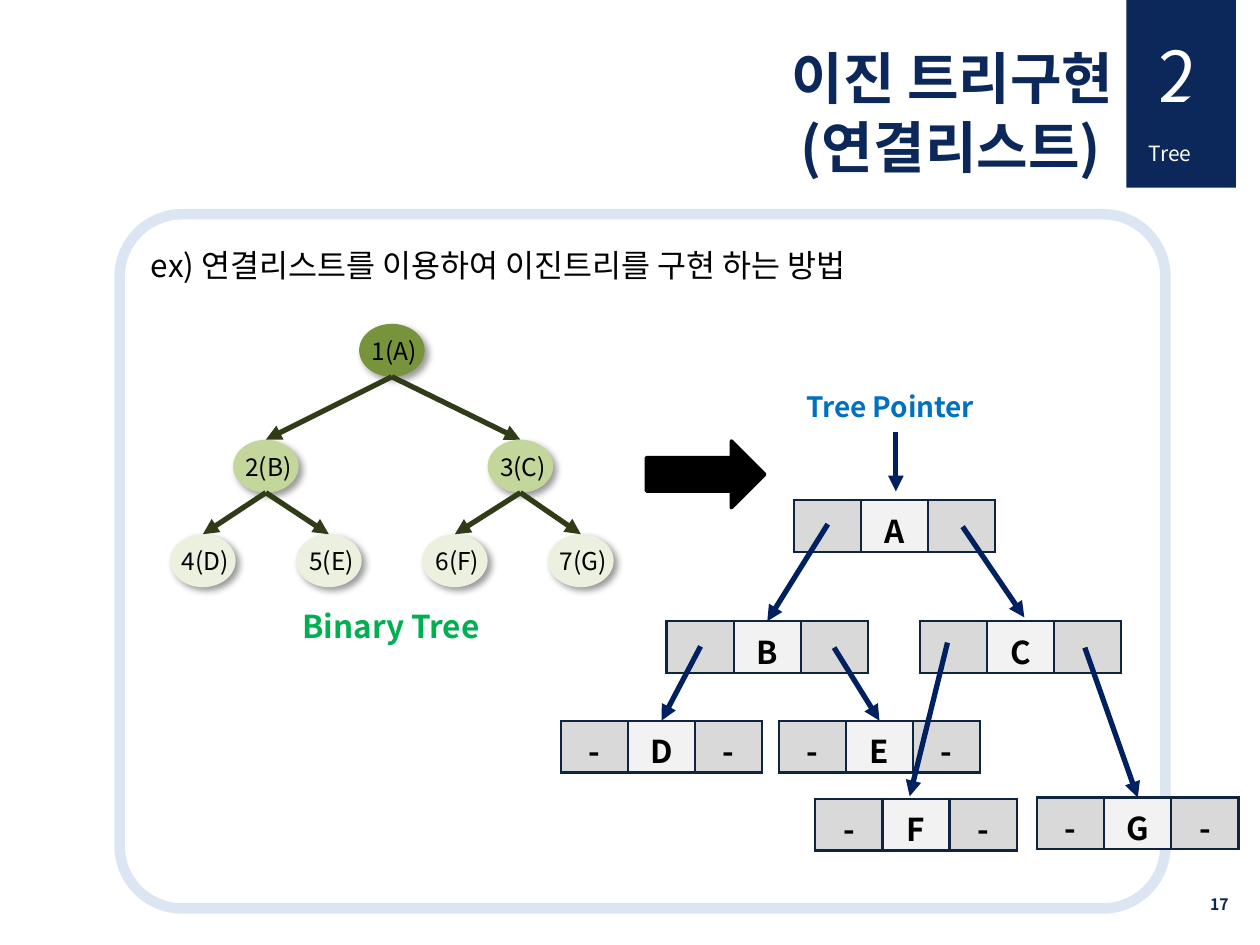
from lxml.etree import SubElement
from pptx import Presentation
from pptx.dml.color import RGBColor
from pptx.enum.shapes import MSO_CONNECTOR, MSO_SHAPE
from pptx.enum.text import MSO_ANCHOR, PP_ALIGN
from pptx.oxml import parse_xml
from pptx.oxml.ns import nsdecls, qn
from pptx.util import Emu, Pt

EMU_PER_PX = 9144
FONT = "Noto Sans CJK KR"
NAVY = "0C2759"
WHITE = "FFFFFF"
BLACK = "000000"
TREE_LINE = "303C18"
POINTER_LINE = "002060"
CELL_BORDER = "0F243E"
CELL_WIDTH = 160
NODE_WIDTH, NODE_HEIGHT = 52, 42

TREE_NODES = {
    "1(A)": (285, 257, "77933C"),
    "2(B)": (185, 349, "C3D69B"),
    "3(C)": (387, 349, "C3D69B"),
    "4(D)": (135, 424, "EBF1DE"),
    "5(E)": (235, 424, "EBF1DE"),
    "6(F)": (335, 424, "EBF1DE"),
    "7(G)": (435, 424, "EBF1DE"),
}
TREE_EDGES = [
    ("1(A)", "2(B)"), ("1(A)", "3(C)"),
    ("2(B)", "4(D)"), ("2(B)", "5(E)"),
    ("3(C)", "6(F)"), ("3(C)", "7(G)"),
]
LIST_NODES = [
    ("A", 630, 397, ""), ("B", 529, 493, ""), ("C", 730, 493, ""),
    ("G", 823, 633, "-"), ("F", 647, 634, "-"),
    ("D", 445, 572, "-"), ("E", 618, 572, "-"),
]
POINTERS = [
    (657, 416, 609, 493), (764, 418, 813, 490),
    (556, 513, 525, 572), (752, 510, 722, 632),
    (861, 514, 903, 633), (662, 514, 698, 572),
    (711, 343, 711, 390),
]


def px(value):
    return Emu(value * EMU_PER_PX)


def color(value):
    return RGBColor.from_string(value)


def box(left, top, width, height):
    return px(left), px(top), px(width), px(height)


def format_text(text_frame, size, text_color, bold=False, align=PP_ALIGN.LEFT):
    for paragraph in text_frame.paragraphs:
        paragraph.alignment = align
        for run in paragraph.runs:
            font = run.font
            font.name = FONT
            font.size = Pt(size)
            font.bold = bold
            font.color.rgb = color(text_color)
            east_asian = SubElement(run._r.get_or_add_rPr(), qn("a:ea"))
            east_asian.set("typeface", FONT)


def add_text(shapes, text, position, size, text_color, bold=False,
             align=PP_ALIGN.LEFT, anchor=MSO_ANCHOR.TOP, wrap=True):
    text_frame = shapes.add_textbox(*box(*position)).text_frame
    text_frame.word_wrap = wrap
    text_frame.vertical_anchor = anchor
    text_frame.text = text
    format_text(text_frame, size, text_color, bold, align)


def add_preset(shapes, kind, position, fill=None, line=None, line_width=1):
    shape = shapes.add_shape(kind, *box(*position))
    shape.shadow.inherit = False
    if fill:
        shape.fill.solid()
        shape.fill.fore_color.rgb = color(fill)
    else:
        shape.fill.background()
    if line:
        shape.line.color.rgb = color(line)
        shape.line.width = Pt(line_width)
    else:
        shape.line.fill.background()
    return shape


def add_tree_node(shapes, label, left, top, fill):
    node = add_preset(shapes, MSO_SHAPE.OVAL, (left, top, NODE_WIDTH, NODE_HEIGHT), fill)
    node._element.spPr.find(qn("a:effectLst")).append(parse_xml(
        f'<a:outerShdw {nsdecls("a")} blurRad="{Pt(4)}" dist="{Pt(3)}" dir="2700000">'
        f'<a:srgbClr val="{BLACK}"><a:alpha val="40000"/></a:srgbClr></a:outerShdw>'))
    text_frame = node.text_frame
    text_frame.word_wrap = False
    text_frame.vertical_anchor = MSO_ANCHOR.MIDDLE
    text_frame.margin_left = px(14)
    text_frame.margin_right = px(10)
    text_frame.text = label
    format_text(text_frame, 14, BLACK, align=PP_ALIGN.CENTER)


def add_arrow(shapes, start_x, start_y, end_x, end_y, line_color):
    arrow = shapes.add_connector(MSO_CONNECTOR.STRAIGHT, px(start_x), px(start_y),
                                 px(end_x), px(end_y))
    arrow.line.color.rgb = color(line_color)
    arrow.line.width = Pt(3)
    SubElement(arrow.line._get_or_add_ln(), qn("a:tailEnd")).set("type", "triangle")
    SubElement(arrow._element.spPr, qn("a:effectLst"))


def add_tree_edge(shapes, parent, child):
    parent_left, parent_top, _ = TREE_NODES[parent]
    child_left, child_top, _ = TREE_NODES[child]
    middle = NODE_WIDTH // 2
    add_arrow(shapes, parent_left + middle, parent_top + NODE_HEIGHT,
              child_left + middle, child_top, TREE_LINE)


def format_cell(cell, text, fill):
    cell.margin_top = px(5)
    cell.margin_bottom = 0
    cell.vertical_anchor = MSO_ANCHOR.MIDDLE
    properties = cell._tc.get_or_add_tcPr()
    for side in ("lnL", "lnR", "lnT", "lnB"):
        properties.append(parse_xml(
            f'<a:{side} {nsdecls("a")} w="{Pt(1.5)}"><a:solidFill>'
            f'<a:srgbClr val="{CELL_BORDER}"/></a:solidFill></a:{side}>'))
    cell.fill.solid()
    cell.fill.fore_color.rgb = color(fill)
    if text:
        cell.text_frame.text = text
        format_text(cell.text_frame, 18, BLACK, True, PP_ALIGN.CENTER)


def add_list_node(shapes, label, left, top, link):
    table = shapes.add_table(1, 3, *box(left, top, CELL_WIDTH, 41)).table
    table.first_row = False
    table.horz_banding = False
    for column in table.columns:
        column.width = px(CELL_WIDTH) // 3
    contents = ((link, "D9D9D9"), (label, "F2F2F2"), (link, "D9D9D9"))
    for cell, (text, fill) in zip(table.rows[0].cells, contents):
        format_cell(cell, text, fill)


def format_title(title):
    title.left, title.top, title.width, title.height = box(556, 29, 338, 118)
    text_frame = title.text_frame
    text_frame.word_wrap = True
    text_frame.vertical_anchor = MSO_ANCHOR.TOP
    text_frame.text = "이진 트리구현\n(연결리스트) "
    format_text(text_frame, 32, NAVY, True, PP_ALIGN.RIGHT)
    for paragraph in text_frame.paragraphs:
        paragraph.line_spacing = Pt(39)
        paragraph.space_before = Pt(0)


def add_chapter_mark(shapes):
    add_preset(shapes, MSO_SHAPE.RECTANGLE, (894, 0, 87, 149), NAVY)
    add_text(shapes, "Tree", (902, 107, 79, 30), 12, WHITE)
    number_shapes = shapes.add_group_shape().shapes
    add_text(number_shapes, "2", (910, 21, 63, 77), 40, WHITE)
    corner = add_preset(number_shapes, MSO_SHAPE.ISOSCELES_TRIANGLE, (918, 60, 47, 39), NAVY)
    corner.adjustments[0] = 1


def main():
    presentation = Presentation()
    presentation.slide_width, presentation.slide_height = px(1000), px(750)
    slide = presentation.slides.add_slide(presentation.slide_layouts[5])
    shapes = slide.shapes

    format_title(shapes.title)
    add_text(shapes, "17", (752, 698, 233, 40), 9, NAVY, True,
             PP_ALIGN.RIGHT, MSO_ANCHOR.MIDDLE)
    add_chapter_mark(shapes)
    frame = add_preset(shapes, MSO_SHAPE.ROUNDED_RECTANGLE, (95, 170, 830, 551),
                       line="DCE6F2", line_width=6)
    frame.adjustments[0] = 0.09
    add_text(shapes, "ex) 연결리스트를 이용하여 이진트리를 구현 하는 방법",
             (110, 190, 704, 40), 18, BLACK)

    for label, (left, top, fill) in TREE_NODES.items():
        add_tree_node(shapes, label, left, top, fill)
    for parent, child in TREE_EDGES:
        add_tree_edge(shapes, parent, child)
    add_text(shapes, "Binary Tree", (230, 477, 182, 40), 18, "00B050", True, wrap=False)
    add_preset(shapes, MSO_SHAPE.RIGHT_ARROW, (513, 350, 94, 53), BLACK, BLACK, 2)

    for list_node in LIST_NODES:
        add_list_node(shapes, *list_node)
    for pointer in POINTERS:
        add_arrow(shapes, *pointer, POINTER_LINE)
    add_text(shapes, "Tree Pointer", (630, 304, 177, 37), 16, "0070C0", True, wrap=False)

    presentation.save("out.pptx")


if __name__ == "__main__":
    main()
